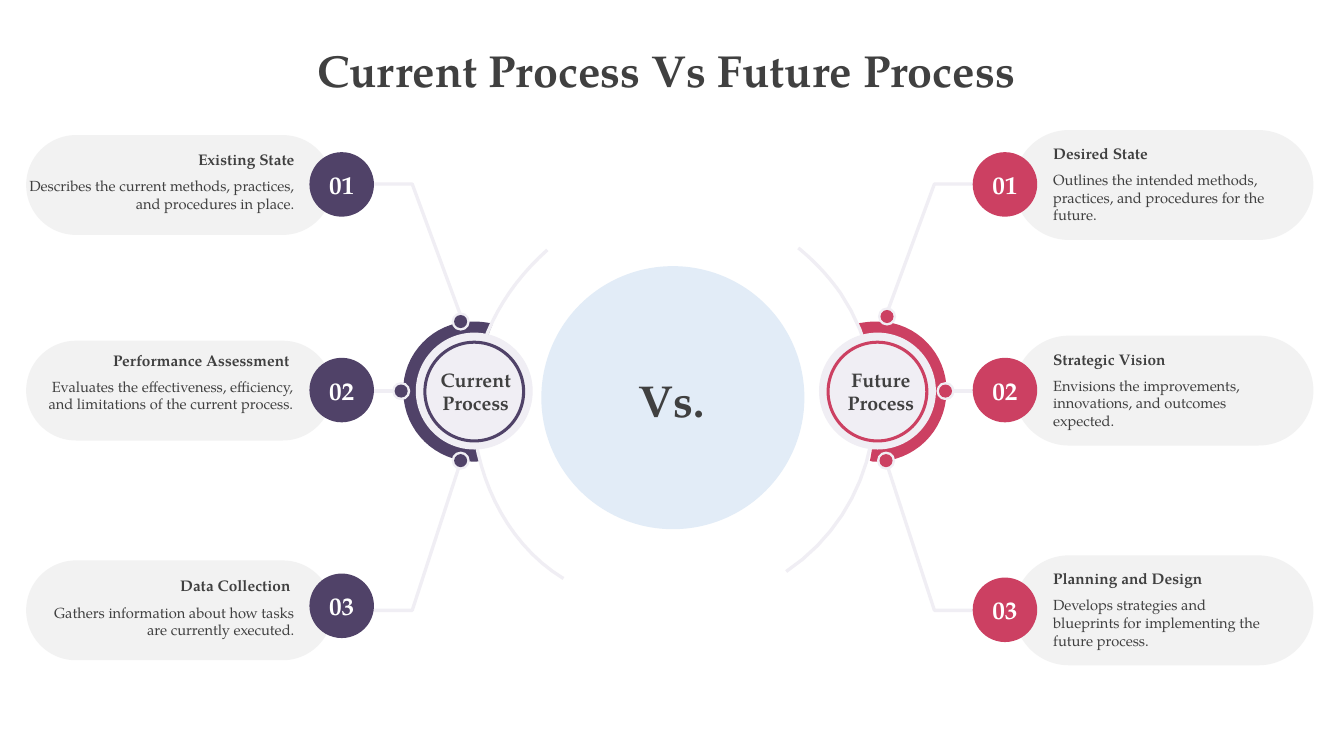
from pptx import Presentation
from pptx.dml.color import RGBColor
from pptx.enum.shapes import MSO_CONNECTOR, MSO_SHAPE
from pptx.enum.text import MSO_ANCHOR, MSO_AUTO_SIZE, PP_ALIGN
from pptx.oxml.xmlchemy import OxmlElement
from pptx.util import Inches, Pt

CELL = Inches(0.1)
COLUMNS, ROWS = 133.33, 75
THEME = {
    "font": "TeX Gyre Pagella",
    "text": "404040", "white": "FFFFFF", "pill": "F2F2F2", "pale": "F0EEF4",
    "centre": "E2ECF7", "current": "504268", "future": "CC4062",
    "title_size": 32, "badge_size": 18, "hub_size": 14, "heading_size": 11, "body_size": 10.5,
    "line_width": 2.35,
}
SIDES = [
    {
        "colour": "current", "hub": 47.05, "name": "Current Process", "name_left": 41.4,
        "mirror": lambda column: column, "lobe_mirror": lambda column: column,
        "arc": [(54.3, 24.8), (49.7, 28.9), (46.9, 34.4), (46.9, 40.3),
                (46.9, 46.4), (49.8, 53.7), (55.9, 57.4)],
        "dots": [(45.7, 31.9), (39.8, 38.8), (45.7, 45.7)],
        "pill": (2.6, 30.4, 9.9), "pill_tops": [13.4, 33.8, 55.6],
        "badge_left": 30.7, "badge_tops": [15.1, 35.5, 56.9],
        "align": PP_ALIGN.RIGHT,
        "items": [
            ("Existing State", "Describes the current methods, practices, and procedures in place.",
             (1, 14.4, 29.2, 7.2)),
            ("Performance Assessment ",
             "Evaluates the effectiveness, efficiency, and limitations of the current process.",
             (3.4, 34.3, 26.7, 9)),
            ("Data Collection ", "Gathers information about how tasks are currently executed.",
             (4, 56.7, 26.2, 7.2)),
        ],
    },
    {
        "colour": "future", "hub": 87.05, "name": "Future Process", "name_left": 81.6,
        "mirror": lambda column: 133.6 - column, "lobe_mirror": lambda column: 133.9 - column,
        "arc": [(78, 56.7), (87.1, 50.6), (89.5, 38.2), (83.4, 29.1),
                (82.2, 27.4), (80.8, 25.9), (79.2, 24.6)],
        "dots": [(88, 31.4), (93.8, 38.8), (87.9, 45.7)],
        "pill": (100.6, 29.7, 10.9), "pill_tops": [12.9, 33.3, 55.1],
        "badge_left": 96.5, "badge_tops": [15.1, 35.5, 57.3],
        "align": PP_ALIGN.LEFT,
        "items": [
            ("Desired State",
             "Outlines the intended methods, practices, and procedures for the future.",
             (103.5, 13.8, 27.3, 9)),
            ("Strategic Vision", "Envisions the improvements, innovations, and outcomes expected.",
             (103.5, 34.2, 25.6, 9)),
            ("Planning and Design",
             "Develops strategies and blueprints for implementing the future process.",
             (103.5, 56, 22.6, 9)),
        ],
    },
]
LOBE = [(47.1, 31.9), (47.7, 31.9), (48.3, 32), (48.9, 32.1),
        (47.9, 34.3), (47.6, 36.7), (47.5, 39.2),
        (47.4, 40.4), (47.4, 41.7), (47.3, 42.9),
        (47.3, 43.9), (47.4, 44.8), (47.6, 45.7),
        (47.4, 45.8), (47.2, 45.8), (47.1, 45.8),
        (43.2, 45.8), (40.1, 42.8), (40, 38.9),
        (39.9, 35.1), (43, 31.9), (46.8, 31.9),
        (46.9, 31.9), (47, 31.9), (47.1, 31.9)]
ELBOWS = [[(36.7, 18.25), (40.9, 18.25), (45.7, 31.3)],
          [(36.7, 60.55), (40.9, 60.55), (45.7, 45.8)]]
STEPS = 16

presentation = Presentation()
presentation.slide_width = round(COLUMNS * CELL)
presentation.slide_height = ROWS * CELL
slide = presentation.slides.add_slide(presentation.slide_layouts[5])
labels = []


def add_solid(kind, left, top, width, height, colour):
    shape = slide.shapes.add_shape(kind, *[round(value * CELL) for value in (left, top, width, height)])
    shape.shadow.inherit = False
    shape.fill.solid()
    shape.fill.fore_color.rgb = RGBColor.from_string(THEME[colour])
    shape.line.fill.background()
    return shape


def add_outline(points, colour, curved, closed):
    if curved:
        controls, points = points, [points[0]]
        for first in range(0, len(controls) - 1, 3):
            for step in range(1, STEPS + 1):
                t = step / STEPS
                weights = ((1 - t) ** 3, 3 * t * (1 - t) ** 2, 3 * t * t * (1 - t), t ** 3)
                points.append([sum(weight * control[axis] for weight, control
                                   in zip(weights, controls[first:first + 4])) for axis in (0, 1)])
    corners = [(round(column * CELL), round(row * CELL)) for column, row in points]
    builder = slide.shapes.build_freeform(*corners[0])
    builder.add_line_segments(corners[1:], close=closed)
    shape = builder.convert_to_shape()
    shape.shadow.inherit = False
    painted, bare = (shape.fill, shape.line.fill) if closed else (shape.line.fill, shape.fill)
    bare.background()
    painted.solid()
    painted.fore_color.rgb = RGBColor.from_string(THEME[colour])
    if not closed:
        shape.line.width = Pt(THEME["line_width"])


title = slide.shapes.title
labels.append((title, (0, 3.7, COLUMNS, 6.4), PP_ALIGN.CENTER, MSO_ANCHOR.MIDDLE,
               [("Current Process Vs Future Process ", "title_size", "text", True)]))
add_solid(MSO_SHAPE.OVAL, 53.7, 26.4, 26.1, 26.1, "centre")

for side in SIDES:
    colour, hub, mirror = side["colour"], side["hub"], side["mirror"]
    pill_left, pill_width, pill_height = side["pill"]
    for top in side["pill_tops"]:
        pill = add_solid(MSO_SHAPE.ROUNDED_RECTANGLE, pill_left, top, pill_width, pill_height, "pill")
        pill.adjustments[0] = 0.5

    for elbow in ELBOWS:
        add_outline([(mirror(column), row) for column, row in elbow], "pale", False, False)
    ends = [round(value * CELL) for value in (mirror(36.7), 38.8, mirror(40.9), 38.8)]
    connector = slide.shapes.add_connector(MSO_CONNECTOR.STRAIGHT, *ends)
    connector.line.color.rgb = RGBColor.from_string(THEME["pale"])
    connector.line.width = Pt(THEME["line_width"])
    connector._element.spPr.append(OxmlElement("a:effectLst"))

    add_outline([(side["lobe_mirror"](column), row) for column, row in LOBE], colour, True, True)
    add_outline(side["arc"], "pale", True, False)
    add_solid(MSO_SHAPE.OVAL, hub - 5.8, 33, 11.6, 11.6, "pale")
    ring = add_solid(MSO_SHAPE.DONUT, hub - 5.05, 33.8, 10.1, 10.1, colour)
    ring.adjustments[0] = 0.03

    for column, row in side["dots"]:
        for diameter, tone in ((1.8, "pale"), (1.3, colour)):
            add_solid(MSO_SHAPE.OVAL, column - diameter / 2, row - diameter / 2, diameter, diameter, tone)

    for number, top in enumerate(side["badge_tops"], 1):
        badge = add_solid(MSO_SHAPE.OVAL, side["badge_left"], top, 6.4, 6.4, colour)
        labels.append((badge, (side["badge_left"], top, 6.4, 6.4), PP_ALIGN.CENTER, MSO_ANCHOR.MIDDLE,
                       [(f"{number:02}", "badge_size", "white", True)]))

    for heading, body, box in side["items"]:
        labels.append((None, box, side["align"], MSO_ANCHOR.TOP,
                       [(heading, "heading_size", "text", True), (body, "body_size", "text", False)]))
    labels.append((None, (side["name_left"], 36, 11.6, 5.7), PP_ALIGN.CENTER, MSO_ANCHOR.TOP,
                   [(side["name"], "hub_size", "text", True)]))

labels.append((None, (61.8, 36.5, 9.6, 6.4), PP_ALIGN.CENTER, MSO_ANCHOR.TOP,
               [("Vs.", "title_size", "text", True)]))

for shape, box, alignment, anchor, lines in labels:
    shape = shape or slide.shapes.add_textbox(0, 0, 0, 0)
    for name, value in zip(("left", "top", "width", "height"), box):
        setattr(shape, name, round(value * CELL))
    frame_format = {"word_wrap": True, "auto_size": MSO_AUTO_SIZE.NONE, "vertical_anchor": anchor}
    for name, value in frame_format.items():
        setattr(shape.text_frame, name, value)
    for index, (text, size, colour, bold) in enumerate(lines):
        paragraph = shape.text_frame.add_paragraph() if index else shape.text_frame.paragraphs[0]
        paragraph.alignment = alignment
        paragraph.space_after = Pt(6 if index < len(lines) - 1 else 0)
        run = paragraph.add_run()
        run.text = text
        font_format = {"name": THEME["font"], "size": Pt(THEME[size]), "bold": bold}
        for name, value in font_format.items():
            setattr(run.font, name, value)
        run.font.color.rgb = RGBColor.from_string(THEME[colour])

presentation.save("out.pptx")
